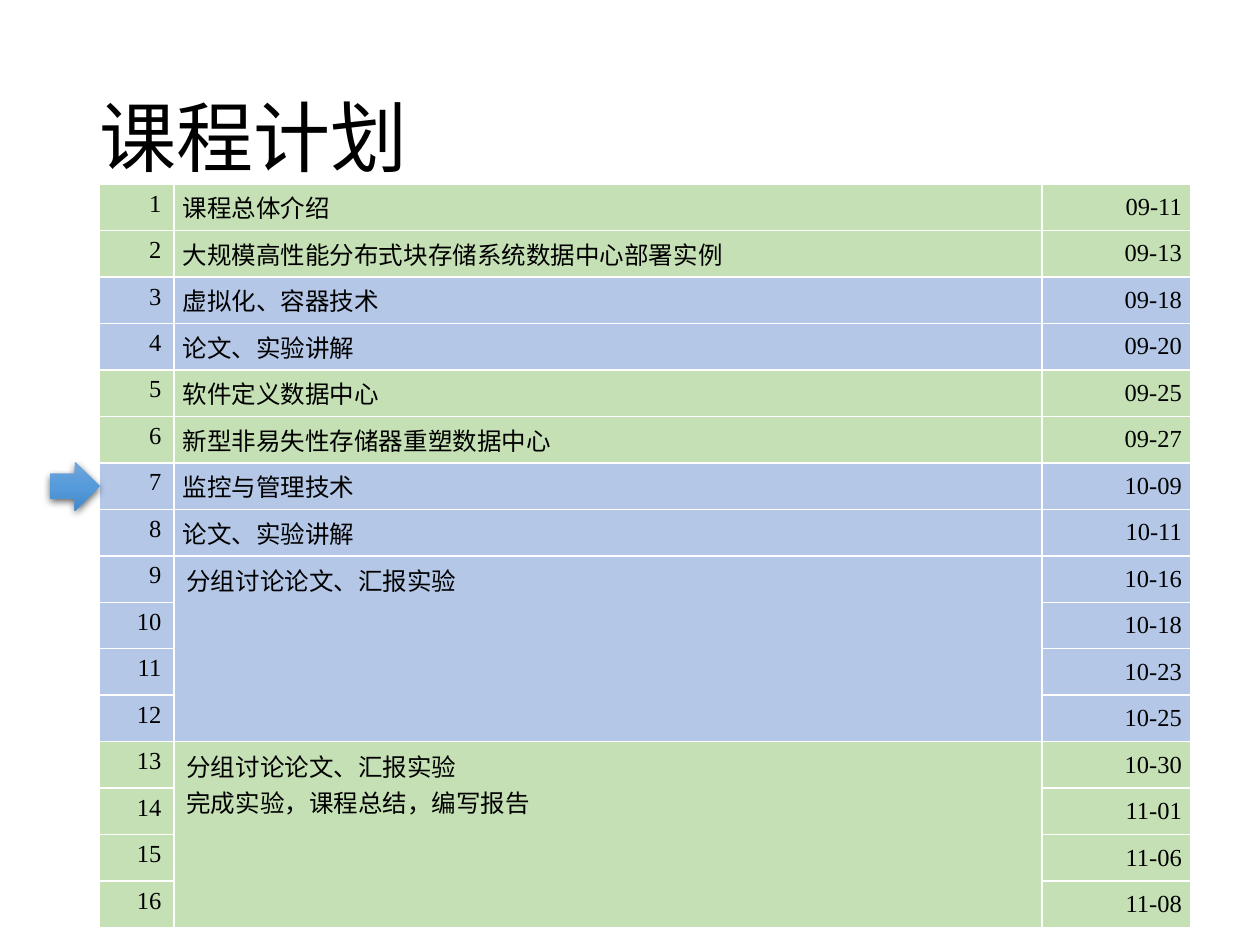
from dataclasses import dataclass

import pptx
import pptx.dml.color
import pptx.enum.shapes
import pptx.enum.text
import pptx.oxml
import pptx.oxml.ns
import pptx.util
from lxml import etree

Inches = pptx.util.Inches
Pt = pptx.util.Pt
RGBColor = pptx.dml.color.RGBColor
Align = pptx.enum.text.PP_ALIGN
Anchor = pptx.enum.text.MSO_ANCHOR
qn = pptx.oxml.ns.qn


@dataclass(frozen=True)
class Theme:
    latin_font: str = "Times New Roman"
    chinese_font: str = "Noto Sans CJK SC"
    title_size: int = 44
    table_size: int = 14
    text: str = "000000"
    border: str = "FFFFFF"
    border_width: int = 1
    green: str = "C5E0B4"
    blue: str = "B4C7E7"
    arrow_stops: tuple[str, ...] = ("71A6DB", "559BDB", "448ACA")


@dataclass(frozen=True)
class Topic:
    """One topic and the dates of the sessions it fills."""
    lines: tuple[str, ...]
    dates: tuple[str, ...]
    fill: str
    align: Align = Align.LEFT


THEME = Theme()
SLIDE_WIDTH, SLIDE_HEIGHT = 10, 7.5
TABLE_LEFT, TABLE_TOP = 0.79, 1.46
COLUMN_WIDTHS = (0.59, 6.89, 1.18)
ROW_HEIGHT = 0.369
ARROW_SIZE = 0.39
CURRENT_SESSION = 7

TOPICS = (
    Topic(("课程总体介绍",), ("09-11",), THEME.green),
    Topic(("大规模高性能分布式块存储系统数据中心部署实例",), ("09-13",), THEME.green),
    Topic(("虚拟化、容器技术",), ("09-18",), THEME.blue, Align.JUSTIFY),
    Topic(("论文、实验讲解",), ("09-20",), THEME.blue, Align.JUSTIFY),
    Topic(("软件定义数据中心",), ("09-25",), THEME.green, Align.JUSTIFY),
    Topic(("新型非易失性存储器重塑数据中心",), ("09-27",), THEME.green),
    Topic(("监控与管理技术",), ("10-09",), THEME.blue),
    Topic(("论文、实验讲解",), ("10-11",), THEME.blue),
    Topic(("分组讨论论文、汇报实验",),
          ("10-16", "10-18", "10-23", "10-25"), THEME.blue),
    Topic(("分组讨论论文、汇报实验", "完成实验，课程总结，编写报告"),
          ("10-30", "11-01", "11-06", "11-08"), THEME.green),
)


def write_lines(text_frame, lines: tuple[str, ...], size: int, align: Align) -> None:
    text_frame.text = "\n".join(lines)
    for paragraph in text_frame.paragraphs:
        paragraph.alignment = align
        font = paragraph.font
        font.size = Pt(size)
        font.name = THEME.latin_font
        font.color.rgb = RGBColor.from_string(THEME.text)
        properties = paragraph._p.pPr.find(qn("a:defRPr"))
        east_asian = etree.Element(qn("a:ea"), typeface=THEME.chinese_font)
        properties.find(qn("a:latin")).addnext(east_asian)


def style_cell(cell, fill: str) -> None:
    """Fill the cell and rule its four sides."""
    cell.fill.solid()
    cell.fill.fore_color.rgb = RGBColor.from_string(fill)
    properties = cell._tc.get_or_add_tcPr()
    for index, side in enumerate(("lnL", "lnR", "lnT", "lnB")):
        line = etree.Element(qn(f"a:{side}"), w=str(Pt(THEME.border_width)))
        solid = etree.SubElement(line, qn("a:solidFill"))
        etree.SubElement(solid, qn("a:srgbClr"), val=THEME.border)
        properties.insert(index, line)


def center_cell(cell) -> None:
    cell.vertical_anchor = Anchor.MIDDLE
    cell.margin_left = cell.margin_right = Inches(0.07)
    cell.margin_top = cell.margin_bottom = 0


def add_title(slide) -> None:
    title = slide.shapes.title
    title.left, title.top = Inches(0.69), Inches(0.4)
    title.width, title.height = Inches(8.62), Inches(1.45)
    title.text_frame.vertical_anchor = Anchor.MIDDLE
    write_lines(title.text_frame, ("课程计划",), THEME.title_size, Align.LEFT)
    title.text_frame.paragraphs[0].line_spacing = 0.9


def add_schedule(slide) -> None:
    row_count = sum(len(topic.dates) for topic in TOPICS)
    frame = slide.shapes.add_table(
        row_count, len(COLUMN_WIDTHS), Inches(TABLE_LEFT), Inches(TABLE_TOP),
        Inches(sum(COLUMN_WIDTHS)), Inches(row_count * ROW_HEIGHT))
    table = frame.table
    table.first_row = table.horz_banding = False
    for column, width in zip(table.columns, COLUMN_WIDTHS):
        column.width = Inches(width)
    for row in table.rows:
        row.height = Inches(ROW_HEIGHT)

    first_row = 0
    for topic in TOPICS:
        for row, date in enumerate(topic.dates, first_row):
            number_cell, topic_cell, date_cell = table.rows[row].cells
            for cell in (number_cell, topic_cell, date_cell):
                style_cell(cell, topic.fill)
            center_cell(date_cell)
            write_lines(number_cell.text_frame, (str(row + 1),),
                        THEME.table_size, Align.RIGHT)
            write_lines(date_cell.text_frame, (date,),
                        THEME.table_size, Align.RIGHT)
        topic_cell = table.cell(first_row, 1)
        if len(topic.dates) > 1:
            topic_cell.merge(table.cell(first_row + len(topic.dates) - 1, 1))
        else:
            center_cell(topic_cell)
        write_lines(topic_cell.text_frame, topic.lines, THEME.table_size, topic.align)
        first_row += len(topic.dates)


def add_session_arrow(slide) -> None:
    """Point at the current session from the left of the table."""
    middle = TABLE_TOP + (CURRENT_SESSION - 0.5) * ROW_HEIGHT
    arrow = slide.shapes.add_shape(
        pptx.enum.shapes.MSO_SHAPE.RIGHT_ARROW,
        Inches(TABLE_LEFT - ARROW_SIZE), Inches(middle - ARROW_SIZE / 2),
        Inches(ARROW_SIZE), Inches(ARROW_SIZE))
    arrow.line.fill.background()
    arrow.fill.gradient()
    arrow.fill.gradient_angle = 270
    properties = arrow._element.spPr
    stops = properties.find(qn("a:gradFill")).find(qn("a:gsLst"))
    for stop in list(stops):
        stops.remove(stop)
    for index, color in enumerate(THEME.arrow_stops):
        stop = etree.SubElement(stops, qn("a:gs"), pos=str(index * 50000))
        etree.SubElement(stop, qn("a:srgbClr"), val=color)

    arrow.shadow.inherit = False
    shadow = etree.SubElement(
        properties.find(qn("a:effectLst")), qn("a:outerShdw"),
        blurRad=str(Pt(4.5)), dist=str(Pt(1.5)), dir="5400000", rotWithShape="0")
    shadow_color = etree.SubElement(shadow, qn("a:srgbClr"), val="000000")
    etree.SubElement(shadow_color, qn("a:alpha"), val="63000")


def main() -> None:
    presentation = pptx.Presentation()
    presentation.slide_width = Inches(SLIDE_WIDTH)
    presentation.slide_height = Inches(SLIDE_HEIGHT)
    slide = presentation.slides.add_slide(presentation.slide_layouts[5])
    add_title(slide)
    add_schedule(slide)
    add_session_arrow(slide)
    presentation.save("out.pptx")


if __name__ == "__main__":
    main()
